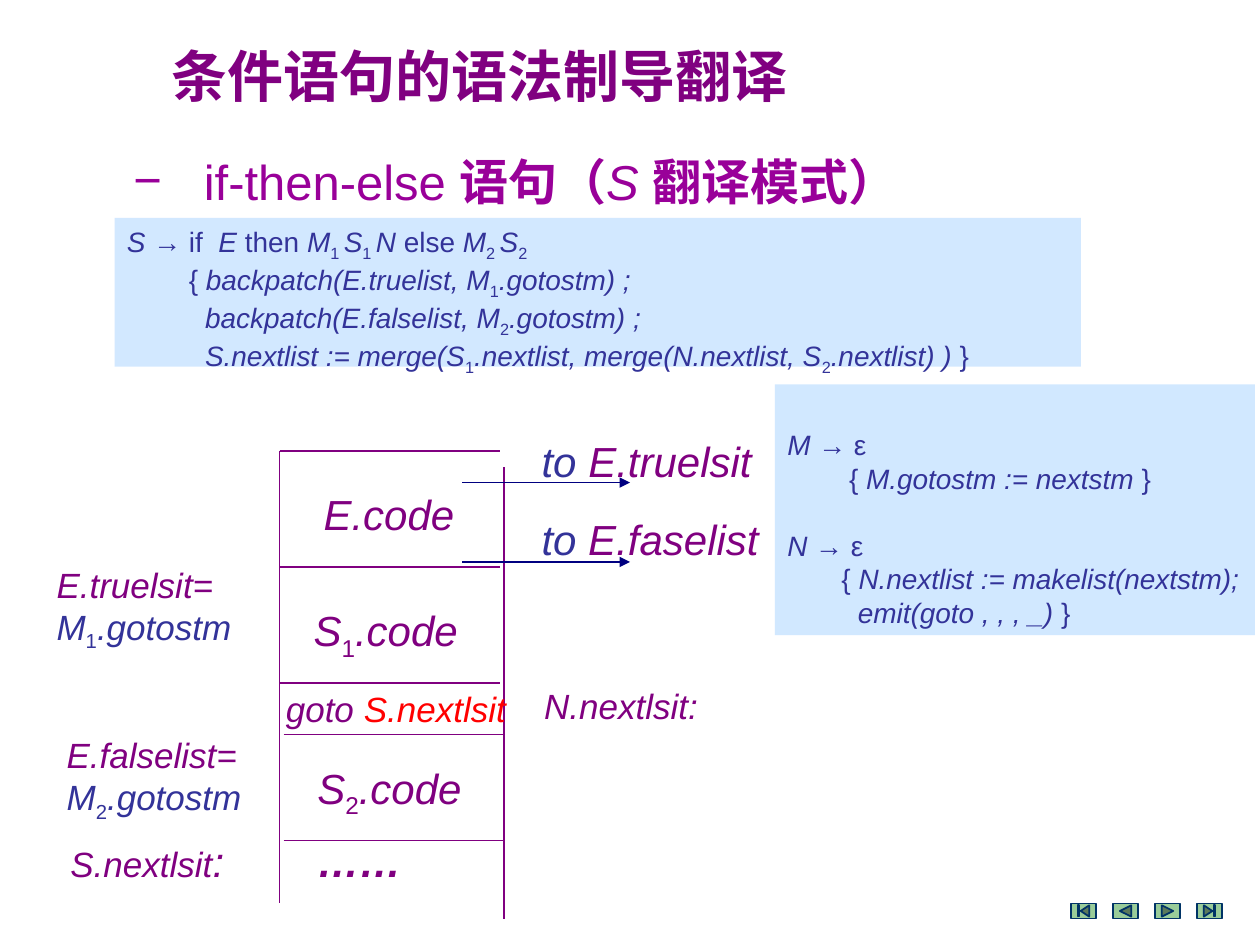
from dataclasses import dataclass

from lxml import etree
from pptx import Presentation
from pptx.dml.color import RGBColor
from pptx.enum.shapes import MSO_CONNECTOR, MSO_SHAPE
from pptx.enum.text import MSO_ANCHOR, PP_ALIGN
from pptx.oxml.ns import qn
from pptx.util import Inches, Pt

STRAIGHT = MSO_CONNECTOR.STRAIGHT
RECTANGLE = MSO_SHAPE.RECTANGLE
NAV_BUTTONS = (
    MSO_SHAPE.ACTION_BUTTON_BEGINNING,
    MSO_SHAPE.ACTION_BUTTON_BACK_OR_PREVIOUS,
    MSO_SHAPE.ACTION_BUTTON_FORWARD_OR_NEXT,
    MSO_SHAPE.ACTION_BUTTON_END,
)
TOP, BOTTOM = MSO_ANCHOR.TOP, MSO_ANCHOR.BOTTOM
LEFT = PP_ALIGN.LEFT

PURPLE = RGBColor(0x80, 0x00, 0x80)
VIOLET = RGBColor(0x99, 0x00, 0x99)
INDIGO = RGBColor(0x33, 0x33, 0x99)
NAVY = RGBColor(0x00, 0x00, 0x80)
RED = RGBColor(0xFF, 0x00, 0x00)
PALE_BLUE = RGBColor(0xAD, 0xD6, 0xFF)
GREEN = RGBColor(0x99, 0xCC, 0x99)
DARK_BLUE = RGBColor(0x00, 0x33, 0x66)
LATIN, CHINESE = "Arial", "Noto Sans CJK SC"


@dataclass(frozen=True)
class Run:
    text: str
    italic: bool | None = None
    bold: bool | None = None
    sub: bool = False
    color: RGBColor | None = None
    size: int | None = None


@dataclass(frozen=True)
class Line:
    runs: tuple[Run, ...]
    size: int = 20
    color: RGBColor = PURPLE
    italic: bool = True
    bold: bool = False
    font: str = LATIN
    indent: float = 0
    before: int = 0
    bullet: str = ""


@dataclass(frozen=True)
class Label:
    left: float
    top: float
    width: float
    height: float
    lines: tuple[Line, ...]
    wrap: bool = False


def upright(text: str) -> Run:
    return Run(text, italic=False)


def sub(text: str) -> Run:
    return Run(text, italic=False, sub=True)


def chinese(text: str) -> Run:
    return Run(text, italic=False, bold=True)


def code(*runs: Run, indent: float = 0, before: int = 0) -> Line:
    return Line(runs, 16, INDIGO, indent=indent, before=before)


def block_name(*runs: Run, bold: bool = False) -> tuple[Line, ...]:
    return (Line(runs, 24, bold=bold),)


def marker_target(list_name: str, number: str) -> tuple[Line, ...]:
    return (Line((Run(f"{list_name}="),)),
            Line((Run("M"), sub(number), Run(".gotostm")), color=INDIGO))


def exit_target(name: str) -> tuple[Line, ...]:
    return (Line((Run("to "), Run(name, color=PURPLE)), 24, INDIGO),)


def write_lines(frame, lines: tuple[Line, ...]) -> None:
    for i, line in enumerate(lines):
        paragraph = frame.add_paragraph() if i else frame.paragraphs[0]
        paragraph.alignment = LEFT
        if line.before:
            paragraph.space_before = Pt(line.before)
        props = paragraph._p.get_or_add_pPr()
        props.set("marL", str(Inches(line.indent)))
        if line.bullet:
            props.set("indent", str(-Inches(line.indent)))
            etree.SubElement(props, qn("a:buFont")).set("typeface", LATIN)
            etree.SubElement(props, qn("a:buChar")).set("char", line.bullet)
        font = paragraph.font
        font.name, font.size = line.font, Pt(line.size)
        font.bold, font.italic = line.bold, line.italic
        font.color.rgb = line.color
        for part in line.runs:
            run = paragraph.add_run()
            run.text = part.text
            if part.italic is not None:
                run.font.italic = part.italic
            if part.bold is not None:
                run.font.bold = part.bold
            if part.size:
                run.font.size = Pt(part.size)
            if part.color is not None:
                run.font.color.rgb = part.color
            run_props = run._r.get_or_add_rPr()
            if part.sub:
                run_props.set("baseline", "-25000")
            if part.bold:
                etree.SubElement(run_props, qn("a:ea")).set("typeface", CHINESE)


def add_label(slide, label: Label) -> None:
    box = slide.shapes.add_textbox(Inches(label.left), Inches(label.top),
                                   Inches(label.width), Inches(label.height))
    box.text_frame.word_wrap = label.wrap
    write_lines(box.text_frame, label.lines)


def add_line(slide, x1: float, y1: float, x2: float, y2: float,
             color: RGBColor = PURPLE, arrow: bool = False) -> None:
    line = slide.shapes.add_connector(STRAIGHT, Inches(x1), Inches(y1),
                                      Inches(x2), Inches(y2))
    line.line.color.rgb = color
    line.line.width = Pt(0.75)
    if arrow:
        etree.SubElement(line.line._get_or_add_ln(), qn("a:tailEnd")).set("type", "triangle")
    etree.SubElement(line._element.spPr, qn("a:effectLst"))


def add_code_panel(slide, panel: Label, opacity: int, anchor) -> None:
    shape = slide.shapes.add_shape(RECTANGLE, Inches(panel.left), Inches(panel.top),
                                   Inches(panel.width), Inches(panel.height))
    shape.shadow.inherit = False
    shape.fill.solid()
    shape.fill.fore_color.rgb = PALE_BLUE
    shape.line.fill.background()
    fill_color = shape._element.spPr.find(f"{qn('a:solidFill')}/{qn('a:srgbClr')}")
    etree.SubElement(fill_color, qn("a:alpha")).set("val", str(opacity * 1000))
    shape.text_frame.word_wrap = panel.wrap
    shape.text_frame.vertical_anchor = anchor
    write_lines(shape.text_frame, panel.lines)


def add_nav_button(slide, kind, left: float) -> None:
    button = slide.shapes.add_shape(kind, Inches(left), Inches(7.17), Inches(0.2), Inches(0.12))
    button.shadow.inherit = False
    button.fill.solid()
    button.fill.fore_color.rgb = GREEN
    button.line.color.rgb = DARK_BLUE
    button.line.width = Pt(1)


HEADINGS = (
    Label(1.15, 0.28, 6.92, 0.63, (Line((chinese("条件语句的语法制导翻译"),), 32, italic=False,
                                        bold=True, font=CHINESE, indent=0.11),), True),
    Label(0.96, 1.15, 7.56, 0.57, (Line(
        (upright("if-then-else "), chinese("语句(".replace("(", "（")), Run("S "), chinese("翻译模式）")),
        28, VIOLET, indent=0.56, bullet="−"),), True),
)
CODE_LAYOUT = (
    Label(2.47, 3.83, 1.24, 0.5, block_name(Run("E.code"))),
    Label(2.39, 4.75, 1.36, 0.5, block_name(Run("S"), sub("1"), Run(".code"))),
    Label(2.17, 5.41, 1.98, 0.44, (Line((Run("goto "), Run("S.nextlsit", color=RED))),), True),
    Label(2.42, 6, 1.36, 0.5, block_name(Run("S"), sub("2"), Run(".code"))),
    Label(2.42, 6.58, 0.87, 0.5, block_name(Run("……"), bold=True)),
)
ANNOTATIONS = (
    Label(0.35, 4.42, 1.61, 0.77, marker_target("E.truelsit", "1")),
    Label(0.43, 5.77, 1.61, 0.77, marker_target("E.falselist", "2")),
    Label(0.46, 6.58, 1.43, 0.5, (Line((Run("S.nextlsit"), Run(":", size=24))),)),
    Label(4.22, 5.38, 1.43, 0.44, (Line((Run("N.nextlsit:"),)),)),
    Label(4.2, 3.41, 1.88, 0.5, exit_target("E.truelsit")),
    Label(4.2, 4.03, 1.94, 0.5, exit_target("E.faselist")),
)
STATEMENT_RULE = Label(0.91, 1.73, 7.67, 1.18, (
    code(Run("S "), upright("→ if "), Run(" E"), upright(" then "), Run("M"), sub("1 "),
         Run("S"), sub("1 "), Run("N"), upright(" else "), Run("M"), sub("2 "), Run("S"), sub("2")),
    code(upright("{ "), Run("backpatch(E.truelist, M"), sub("1"), Run(".gotostm) ;"), indent=0.49),
    code(Run("backpatch(E.falselist, M"), sub("2"), Run(".gotostm) ;"), indent=0.62),
    code(Run("S.nextlist := merge(S"), sub("1"), Run(".nextlist, merge(N.nextlist, S"),
         sub("2"), Run(".nextlist) ) "), upright("}"), indent=0.62),
), True)
MARKER_RULES = Label(6.15, 3.05, 3.81, 1.99, (
    code(Run("M "), upright("→ ε")),
    code(upright("{ "), Run("M.gotostm := nextstm "), upright("}"), indent=0.49),
    code(Run("N "), upright("→ ε"), before=19),
    code(upright("{ "), Run("N.nextlist := makelist(nextstm);"), indent=0.43),
    code(Run("emit(goto , , , _) "), upright("}"), indent=0.56),
), True)


def main() -> None:
    deck = Presentation()
    deck.slide_width, deck.slide_height = Inches(10), Inches(7.5)
    slide = deck.slides.add_slide(deck.slide_layouts[6])

    # Frame of the generated code: sides, then row dividers
    add_line(slide, 2.22, 3.58, 2.22, 7.17)
    add_line(slide, 4, 3.71, 4, 7.29)
    for left, y in ((2.22, 3.58), (2.22, 4.5), (2.22, 5.42), (2.25, 5.83), (2.25, 6.67)):
        add_line(slide, left, y, left + 1.75, y)

    # Exits of the condition
    for y in (3.83, 4.46):
        add_line(slide, 3.67, y, 5, y, NAVY, arrow=True)

    # Headings and labels
    for label in HEADINGS + CODE_LAYOUT + ANNOTATIONS:
        add_label(slide, label)

    # Translation rules
    add_code_panel(slide, STATEMENT_RULE, 54, TOP)
    add_code_panel(slide, MARKER_RULES, 55, BOTTOM)

    # Navigation buttons
    for i, kind in enumerate(NAV_BUTTONS):
        add_nav_button(slide, kind, 8.5 + i / 3)

    deck.save("out.pptx")


if __name__ == "__main__":
    main()
